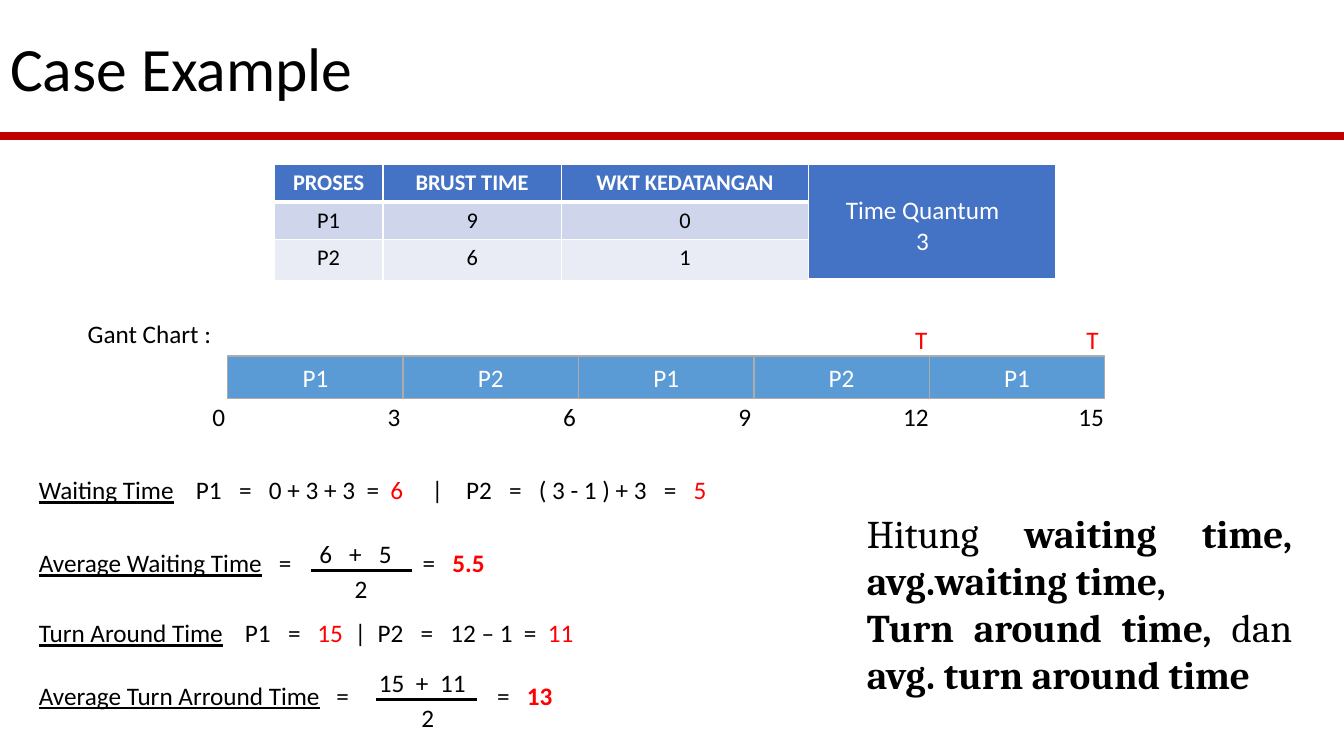
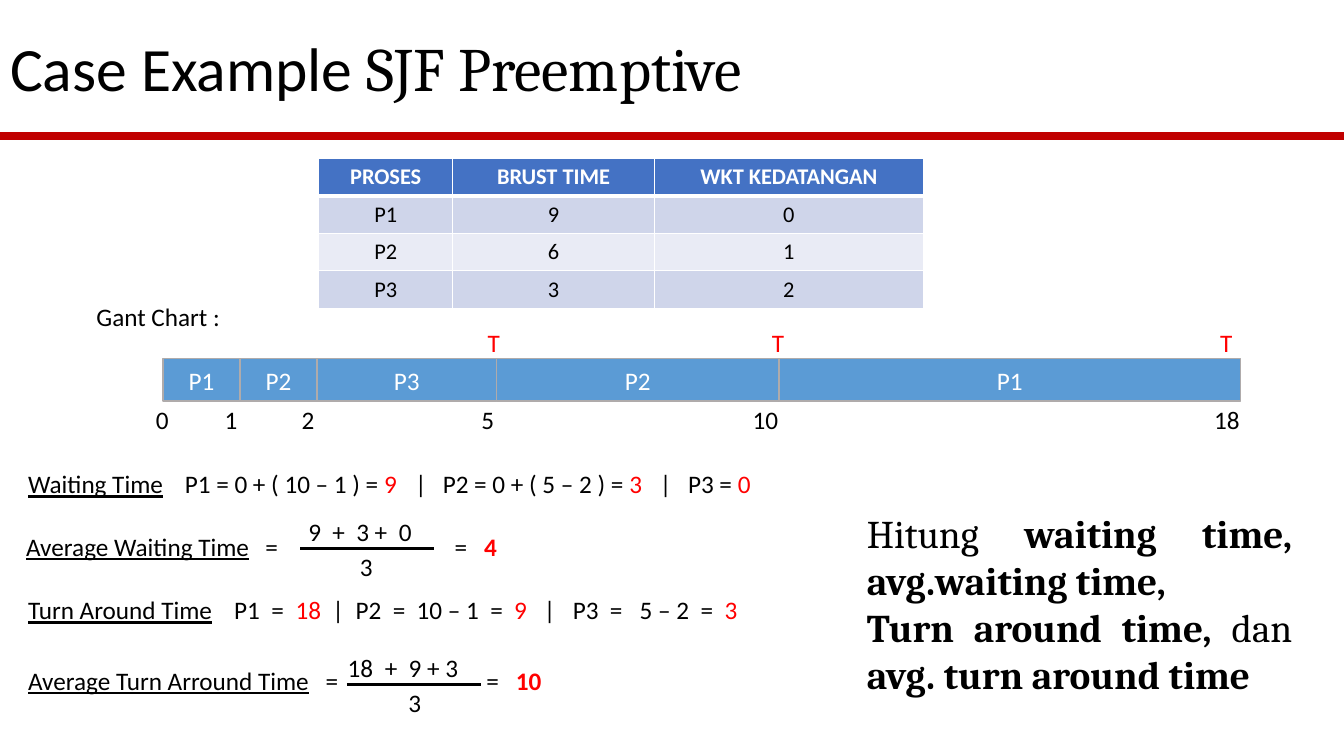
from dataclasses import dataclass
from typing import NamedTuple, Optional

from lxml import etree
from pptx import Presentation, util as u
from pptx.dml.color import RGBColor
from pptx.enum import shapes, text
from pptx.oxml.ns import qn

BLACK = RGBColor(0x00, 0x00, 0x00)
WHITE = RGBColor(0xFF, 0xFF, 0xFF)
RED = RGBColor(0xFF, 0x00, 0x00)
BAND_RED = RGBColor(0xC0, 0x00, 0x00)
HEADER_BLUE = RGBColor(0x44, 0x72, 0xC4)
ROW_TINTS = (RGBColor(0xCF, 0xD5, 0xEA), RGBColor(0xE9, 0xEB, 0xF5))
BAR_BLUE = RGBColor(0x5B, 0x9B, 0xD5)
BAR_EDGE = RGBColor(0xAF, 0xAB, 0xAB)

# Character formats
PLAIN = {"name": "Calibri", "size": u.Pt(18), "rgb": BLACK}
LABEL = PLAIN | {"underline": True}
VALUE = PLAIN | {"rgb": RED}
RESULT = VALUE | {"bold": True}
ON_BLUE = PLAIN | {"rgb": WHITE}
CELL = PLAIN | {"size": u.Pt(16), "bold": False}
HEADER = CELL | {"rgb": WHITE, "bold": True}
TITLE = PLAIN | {"size": u.Pt(44)}
TITLE_SERIF = TITLE | {"name": "Cambria"}
TASK = {"name": "Cambria", "size": u.Pt(28), "rgb": BLACK, "bold": False}
TASK_BOLD = TASK | {"bold": True}

SLIDE_W, SLIDE_H = 33.87, 19.05
LINE_H = 1.02
ROW_H = 0.93
BAR_H = 1.07
COLUMNS = ("PROSES", "BRUST TIME", "WKT KEDATANGAN")


class Piece(NamedTuple):
    """Text that starts at x cm on the slide, or follows on if x is None."""
    x: Optional[float]
    words: str
    look: dict = PLAIN


class Bar(NamedTuple):
    process: str
    width: float
    end: int
    finish_inset: Optional[float] = None


@dataclass
class Gantt:
    left: float
    top: float
    caption_at: tuple[float, float]
    zero_inset: float
    bars: list[Bar]


@dataclass
class Fraction:
    left: float
    right: float
    y: float
    numerator: list[Piece]
    denominator: Piece


@dataclass
class Formula:
    top: float
    pieces: list[Piece]
    fraction: Optional[Fraction] = None


@dataclass
class Case:
    title: list[Piece]
    table_at: tuple[float, float]
    column_widths: list[float]
    processes: list[tuple[str, str, str]]
    gantt: Gantt
    formulas: list[Formula]
    quantum: Optional[str] = None


def add_run(paragraph, words: str, look: dict) -> None:
    run = paragraph.add_run()
    run.text = words
    for key, value in look.items():
        if key == "rgb":
            run.font.color.rgb = value
        else:
            setattr(run.font, key, value)


def place(shape, left: float, top: float, width: float, height: float) -> None:
    box = {"left": left, "top": top, "width": width, "height": height}
    for key, value in box.items():
        setattr(shape, key, u.Cm(value))


def add_label(slide, left, top, width, words: str, look: dict = PLAIN):
    label = slide.shapes.add_textbox(u.Cm(left), u.Cm(top), u.Cm(width), u.Cm(LINE_H))
    label.text_frame.word_wrap = True
    add_run(label.text_frame.paragraphs[0], words, look)
    return label


def add_rule(slide, left, right, y, color: RGBColor, points: float) -> None:
    rule = slide.shapes.add_connector(
        shapes.MSO_CONNECTOR.STRAIGHT, u.Cm(left), u.Cm(y), u.Cm(right), u.Cm(y))
    rule.line.color.rgb = color
    rule.line.width = u.Pt(points)
    etree.SubElement(rule._element.spPr, qn("a:effectLst"))


def add_tabbed_line(slide, top: float, pieces: list[Piece]) -> None:
    """One line of text whose pieces stand at their own tab stops."""
    left = pieces[0].x
    box = slide.shapes.add_textbox(u.Cm(left), u.Cm(top), u.Cm(21 - left), u.Cm(LINE_H))
    frame = box.text_frame
    frame.word_wrap = True
    frame.margin_left = frame.margin_right = 0
    paragraph = frame.paragraphs[0]
    stops = etree.SubElement(paragraph._p.get_or_add_pPr(), qn("a:tabLst"))
    for number, piece in enumerate(pieces):
        if number and piece.x is not None:
            etree.SubElement(stops, qn("a:tab"), pos=str(u.Cm(piece.x - left)), algn="l")
            add_run(paragraph, "\t", PLAIN)
        add_run(paragraph, piece.words, piece.look)


def add_formula(slide, formula: Formula) -> None:
    add_tabbed_line(slide, formula.top, formula.pieces)
    fraction = formula.fraction
    if fraction:
        add_tabbed_line(slide, fraction.y - 0.93, fraction.numerator)
        add_tabbed_line(slide, fraction.y - 0.05, [fraction.denominator])
        add_rule(slide, fraction.left, fraction.right, fraction.y, BLACK, 2.25)


def style_cell(cell, fill: RGBColor, bottom: float) -> None:
    cell.fill.solid()
    cell.fill.fore_color.rgb = fill
    cell.vertical_anchor = text.MSO_ANCHOR.TOP
    properties = cell._tc.get_or_add_tcPr()
    for place_no, (side, points) in enumerate(zip("LRTB", (1, 1, 1, bottom))):
        border = etree.Element(qn(f"a:ln{side}"), w=str(u.Pt(points)))
        color = etree.SubElement(etree.SubElement(border, qn("a:solidFill")), qn("a:srgbClr"))
        color.set("val", str(WHITE))
        properties.insert(place_no, border)


def add_process_table(slide, case: Case) -> None:
    rows = [COLUMNS, *case.processes]
    left, top = case.table_at
    widths = case.column_widths
    table = slide.shapes.add_table(
        len(rows), len(widths), u.Cm(left), u.Cm(top),
        u.Cm(sum(widths)), u.Cm(ROW_H * len(rows))).table
    for column, width in zip(table.columns, widths):
        column.width = u.Cm(width)
    if case.quantum:
        table.cell(0, 3).merge(table.cell(len(rows) - 1, 3))
    for r, row in enumerate(rows):
        table.rows[r].height = u.Cm(ROW_H)
        for c in range(len(widths)):
            cell = table.cell(r, c)
            fill = ROW_TINTS[(r - 1) % 2] if r and c < 3 else HEADER_BLUE
            style_cell(cell, fill, 1 if r else 3)
            if c < len(row):
                paragraph = cell.text_frame.paragraphs[0]
                paragraph.alignment = text.PP_ALIGN.CENTER
                add_run(paragraph, row[c], CELL if r else HEADER)
    if case.quantum:
        quantum = add_label(slide, 21, top + 0.64, 4.5, "Time Quantum", ON_BLUE)
        add_run(quantum.text_frame.add_paragraph(), case.quantum, ON_BLUE)
        for paragraph in quantum.text_frame.paragraphs:
            paragraph.alignment = text.PP_ALIGN.CENTER


def add_gantt(slide, gantt: Gantt) -> None:
    add_label(slide, *gantt.caption_at, 6, "Gant Chart :")
    tick_top = gantt.top + 1.02
    add_label(slide, gantt.left - gantt.zero_inset, tick_top, 1.3, "0")
    x = gantt.left
    for bar in gantt.bars:
        block = slide.shapes.add_shape(
            shapes.MSO_SHAPE.RECTANGLE, u.Cm(x), u.Cm(gantt.top), u.Cm(bar.width), u.Cm(BAR_H))
        block.shadow.inherit = False
        block.fill.solid()
        block.fill.fore_color.rgb = BAR_BLUE
        block.line.color.rgb = BAR_EDGE
        block.line.width = u.Pt(1)
        block.text_frame.vertical_anchor = text.MSO_ANCHOR.MIDDLE
        paragraph = block.text_frame.paragraphs[0]
        paragraph.alignment = text.PP_ALIGN.CENTER
        add_run(paragraph, bar.process, ON_BLUE)
        x += bar.width
        tick_inset = 0.64 if bar.end < 10 else 0.91
        add_label(slide, x - tick_inset, tick_top, 1.8, str(bar.end))
        if bar.finish_inset:
            add_label(slide, x - bar.finish_inset, gantt.top - 0.92, 1.3, "T", VALUE)


def add_frame(slide, title: list[Piece]) -> None:
    """Title, red band and task text, shared by all slides."""
    add_rule(slide, 0, SLIDE_W, 3.43, BAND_RED, 6)
    heading = slide.shapes.title
    place(heading, 0, 0.61, 20.02, 2.13)
    heading.text_frame.vertical_anchor = text.MSO_ANCHOR.MIDDLE
    paragraph = heading.text_frame.paragraphs[0]
    paragraph.alignment = text.PP_ALIGN.LEFT
    for piece in title:
        add_run(paragraph, piece.words, piece.look)

    task = slide.placeholders[1]
    place(task, 21.59, 12.7, 11.23, 5.05)
    frame = task.text_frame
    frame.auto_size = text.MSO_AUTO_SIZE.NONE
    lines = [
        [("Hitung ", TASK), ("waiting time, avg.waiting time,", TASK_BOLD)],
        [("Turn around time, ", TASK_BOLD), ("dan ", TASK), ("avg. turn around time", TASK_BOLD)],
    ]
    for number, line in enumerate(lines):
        paragraph = frame.add_paragraph() if number else frame.paragraphs[0]
        paragraph.alignment = text.PP_ALIGN.JUSTIFY
        paragraph.space_before = u.Pt(0)
        properties = paragraph._p.get_or_add_pPr()
        for key in ("marL", "indent"):
            properties.set(key, "0")
        etree.SubElement(properties, qn("a:buNone"))
        for words, look in line:
            add_run(paragraph, words, look)


ROUND_ROBIN = Case(
    title=[Piece(None, "Case Example", TITLE)],
    table_at=(6.91, 4.14),
    column_widths=[2.74, 4.5, 6.22, 6.22],
    processes=[("P1", "9", "0"), ("P2", "6", "1")],
    quantum="3",
    gantt=Gantt(5.74, 8.97, (1.96, 7.9), 0.64, [
        Bar("P1", 4.42, 3), Bar("P2", 4.42, 6), Bar("P1", 4.42, 9),
        Bar("P2", 4.42, 12, 0.61), Bar("P1", 4.42, 15, 0.71)]),
    formulas=[
        Formula(11.84, [
            Piece(0.98, "Waiting Time", LABEL), Piece(4.94, "P1"), Piece(6.03, "="),
            Piece(6.78, "0 + 3 + 3"), Piece(9.24, "="), Piece(9.84, "6", VALUE),
            Piece(10.88, "|"), Piece(11.75, "P2"), Piece(12.83, "="),
            Piece(13.58, "( 3 - 1 ) + 3"), Piece(16.73, "="), Piece(17.48, "5", VALUE)]),
        Formula(13.67, [
            Piece(0.98, "Average Waiting Time", LABEL), Piece(7.03, "="),
            Piece(10.65, "="), Piece(11.4, "5.5", RESULT)],
            Fraction(7.85, 10.39, 14.38, [Piece(8.05, "6"), Piece(8.8, "+"), Piece(9.55, "5")],
                     Piece(8.94, "2"))),
        Formula(15.44, [
            Piece(0.98, "Turn Around Time", LABEL), Piece(6.17, "P1"), Piece(7.26, "="),
            Piece(8, "15", VALUE), Piece(8.94, "|"), Piece(9.52, "P2"), Piece(10.6, "="),
            Piece(11.35, "12 – 1"), Piece(13.2, "="), Piece(13.81, "11", VALUE)]),
        Formula(17.02, [
            Piece(0.98, "Average Turn Arround Time", LABEL), Piece(8.48, "="),
            Piece(12.53, "="), Piece(13.28, "13", RESULT)],
            Fraction(9.47, 12.01, 17.63, [Piece(9.55, "15"), Piece(10.48, "+"), Piece(11.09, "11")],
                     Piece(10.62, "2"))),
    ])

SJF_PREEMPTIVE = Case(
    title=[Piece(None, "Case Example ", TITLE), Piece(None, "SJF Preemptive", TITLE_SERIF)],
    table_at=(8.03, 3.99),
    column_widths=[3.38, 5.08, 6.78],
    processes=[("P1", "9", "0"), ("P2", "6", "1"), ("P3", "3", "2")],
    gantt=Gantt(4.11, 9.04, (2.18, 7.47), 0.43, [
        Bar("P1", 1.94, 1), Bar("P2", 1.94, 2), Bar("P3", 4.53, 5, 0.48),
        Bar("P2", 7.11, 10, 0.43), Bar("P1", 11.63, 18, 0.76)]),
    formulas=[
        Formula(11.68, [
            Piece(0.71, "Waiting Time", LABEL), Piece(4.66, "P1 = 0 + ( 10 – 1 ) = "),
            Piece(None, "9", VALUE), Piece(10.46, "|"), Piece(11.16, "P2 = 0 + ( 5 – 2 ) = "),
            Piece(None, "3", VALUE), Piece(16.63, "|"), Piece(17.34, "P3 = "),
            Piece(None, "0", VALUE)]),
        Formula(13.26, [
            Piece(0.66, "Average Waiting Time", LABEL), Piece(6.69, "="),
            Piece(11.46, "="), Piece(12.2, "4", RESULT)],
            Fraction(7.57, 10.95, 13.82,
                     [Piece(7.77, "9"), Piece(8.38, "+"), Piece(8.98, "3 +"), Piece(10.05, "0")],
                     Piece(9.07, "3"))),
        Formula(14.86, [
            Piece(0.71, "Turn Around Time", LABEL), Piece(5.9, "P1"), Piece(6.84, "="),
            Piece(7.45, "18", VALUE), Piece(8.38, "|"), Piece(8.96, "P2"), Piece(9.9, "="),
            Piece(10.5, "10 – 1"), Piece(12.36, "="), Piece(12.96, "9", VALUE),
            Piece(13.71, "|"), Piece(14.44, "P3"), Piece(15.37, "="),
            Piece(16.12, "5 – 2"), Piece(17.66, "="), Piece(18.26, "3", VALUE)]),
        Formula(16.64, [
            Piece(0.71, "Average Turn Arround Time", LABEL), Piece(8.21, "="),
            Piece(12.26, "="), Piece(13, "10", RESULT)],
            Fraction(8.74, 12.12, 17.25,
                     [Piece(8.76, "18"), Piece(9.7, "+"), Piece(10.3, "9 + 3")],
                     Piece(10.29, "3"))),
    ])


def main() -> None:
    deck = Presentation()
    deck.slide_width, deck.slide_height = u.Cm(SLIDE_W), u.Cm(SLIDE_H)
    for case in (ROUND_ROBIN, SJF_PREEMPTIVE):
        slide = deck.slides.add_slide(deck.slide_layouts[1])
        add_frame(slide, case.title)
        add_process_table(slide, case)
        add_gantt(slide, case.gantt)
        for formula in case.formulas:
            add_formula(slide, formula)
    deck.save("out.pptx")


if __name__ == "__main__":
    main()
